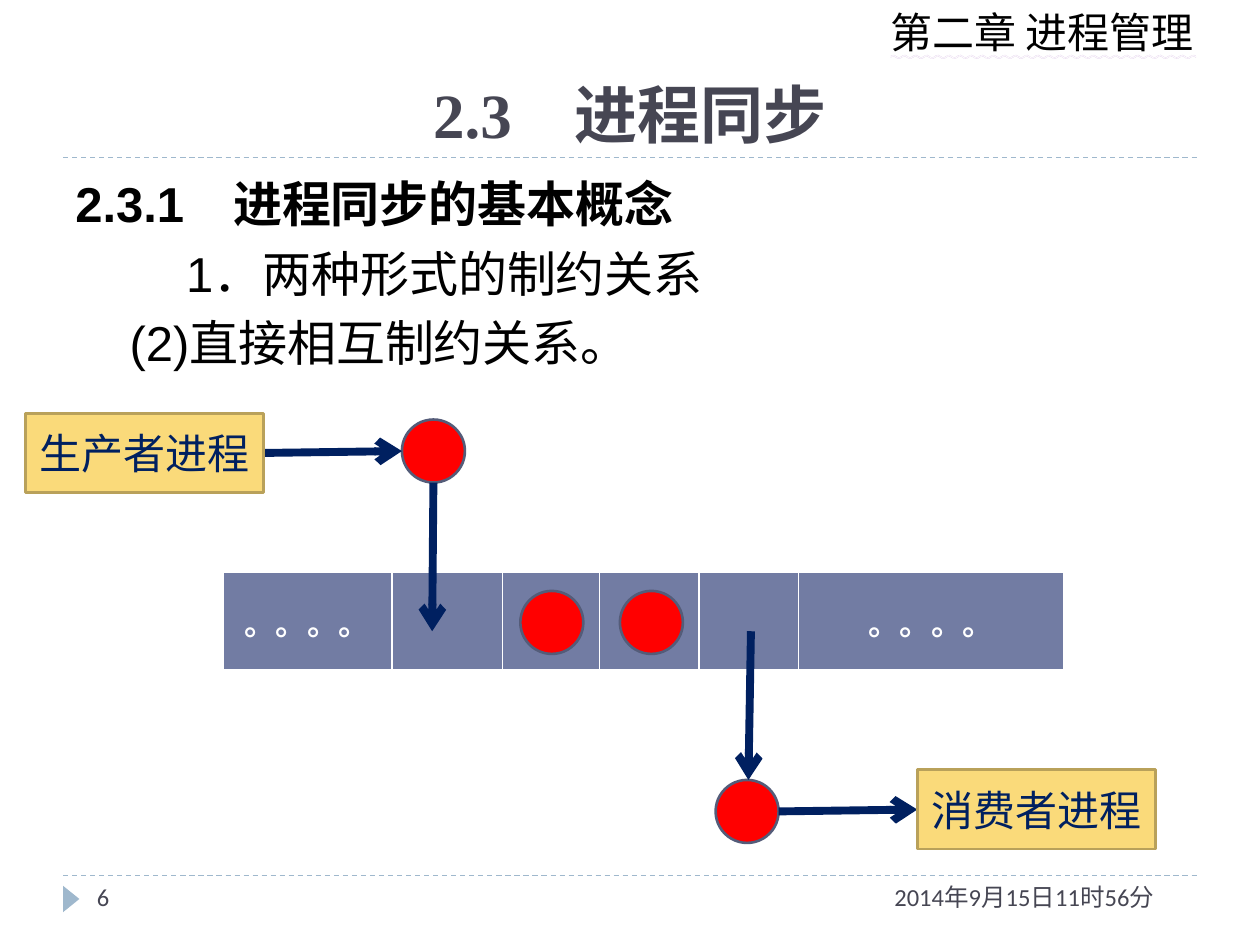
from lxml import etree
from pptx import Presentation
from pptx import util as u
from pptx.dml.color import RGBColor
from pptx.enum import dml, shapes, text
from pptx.oxml import parse_xml
from pptx.oxml.ns import nsdecls, qn

Inches = u.Inches
Shape = shapes.MSO_SHAPE
Align = text.PP_ALIGN
Anchor = text.MSO_ANCHOR


def color(value):
    return RGBColor.from_string(value)


def write(paragraph, words, size=18, font="Calibri", fill="000000", bold=False,
          align=None):
    run = paragraph.add_run()
    run.text = words
    run.font.size = u.Pt(size)
    run.font.name = font
    run.font.bold = bold
    run.font.color.rgb = color(fill)
    if align is not None:
        paragraph.alignment = align
    return run


class SlideBuilder:
    ink = "464653"
    navy = "002060"
    rule_color = "9FB8CD"
    cell_fill = "727CA3"
    item_size = 0.5

    def __init__(self, slide):
        self.slide = slide

    def title(self, box, parts):
        title = self.slide.shapes.title
        title.left, title.top, title.width, title.height = map(Inches, box)
        frame = title.text_frame
        frame.vertical_anchor = Anchor.BOTTOM
        for words, font in parts:
            write(frame.paragraphs[0], words, 36, font, self.ink, True, Align.CENTER)

    def textbox(self, box, wrap=True):
        frame = self.slide.shapes.add_textbox(*map(Inches, box)).text_frame
        frame.word_wrap = wrap
        return frame

    def label(self, box, words, wrap=True, **style):
        frame = self.textbox(box, wrap)
        return write(frame.paragraphs[0], words, **style)

    def outline(self, box, lines):
        frame = self.textbox(box)
        for index, (words, first_line, bold) in enumerate(lines):
            paragraph = frame.paragraphs[0] if index == 0 else frame.add_paragraph()
            paragraph.space_before = u.Pt(6)
            properties = paragraph._p.get_or_add_pPr()
            properties.set("marL", str(Inches(0.3)))
            properties.set("indent", str(Inches(first_line - 0.3)))
            write(paragraph, words, 28, "Arial", bold=bold)

    def preset(self, kind, box, fill, border=None):
        shape = self.slide.shapes.add_shape(kind, *map(Inches, box))
        shape.shadow.inherit = False
        shape.fill.solid()
        shape.fill.fore_color.rgb = color(fill)
        if border:
            shape.line.color.rgb = color(border)
            shape.line.width = u.Pt(1.5)
        else:
            shape.line.fill.background()
        return shape

    def item(self, left, top):
        box = (left, top, self.item_size, self.item_size)
        return self.preset(Shape.FLOWCHART_CONNECTOR, box, "FF0000", "545C79")

    def process(self, left, top, words):
        box = self.preset(Shape.RECTANGLE, (left, top, 1.89, 0.63), "FADA7A", "B9A15A")
        frame = box.text_frame
        frame.vertical_anchor = Anchor.MIDDLE
        write(frame.paragraphs[0], words, 24, fill=self.navy, align=Align.CENTER)
        return box

    def line(self, start, end, stroke, width):
        connector = self.slide.shapes.add_connector(
            shapes.MSO_CONNECTOR.STRAIGHT, *map(Inches, start + end))
        connector.line.color.rgb = color(stroke)
        connector.line.width = u.Pt(width)
        etree.SubElement(connector._element.spPr, qn("a:effectLst"))
        return connector

    def rule(self, y):
        rule = self.line((0.5, y), (9.5, y), self.rule_color, 0.75)
        rule.line.dash_style = dml.MSO_LINE.DASH

    def arrow(self, start, end):
        arrow = self.line(start, end, self.navy, 4.5)
        stroke = arrow.line._get_or_add_ln()
        etree.SubElement(stroke, qn("a:tailEnd"), type="arrow")
        return arrow

    def buffer(self, left, top, height, widths, entries):
        frame = self.slide.shapes.add_table(
            1, len(widths), Inches(left), Inches(top), Inches(sum(widths)), Inches(height))
        for column, width, words in zip(frame.table.columns, widths, entries):
            column.width = Inches(width)
        for cell, words in zip(frame.table.rows[0].cells, entries):
            cell.vertical_anchor = Anchor.MIDDLE
            if words:
                write(cell.text_frame.paragraphs[0], words, fill="FFFFFF",
                      bold=True, align=Align.CENTER)
            properties = cell._tc.get_or_add_tcPr()
            for side, width in (("L", 1), ("R", 1), ("T", 1), ("B", 3)):
                properties.append(parse_xml(
                    f'<a:ln{side} {nsdecls("a")} w="{u.Pt(width)}"><a:solidFill>'
                    f'<a:srgbClr val="FFFFFF"/></a:solidFill></a:ln{side}>'))
            cell.fill.solid()
            cell.fill.fore_color.rgb = color(self.cell_fill)


def underline_wavy(run, stroke):
    run.font.underline = text.MSO_UNDERLINE.WAVY_DOUBLE_LINE
    run.font._element.find(qn("a:latin")).addprevious(parse_xml(
        f'<a:uFill {nsdecls("a")}><a:solidFill><a:srgbClr val="{stroke}"/>'
        '</a:solidFill></a:uFill>'))


def main():
    deck = Presentation()
    deck.slide_width, deck.slide_height = Inches(10), Inches(7.5)
    page = SlideBuilder(deck.slides.add_slide(deck.slide_layouts[5]))

    for y in (6.95, 1.25):
        page.rule(y)
    marker = page.preset(Shape.ISOSCELES_TRIANGLE, (0.46, 7.07, 0.21, 0.13), page.rule_color)
    marker.rotation = 90
    chapter = page.label((6.97, 0, 2.66, 0.5), "第二章 进程管理", wrap=False, size=24)
    underline_wavy(chapter, "D2B4E0")

    page.title((0.5, 0.52, 9, 0.73),
               [("2.3　", "Times New Roman"), ("进程同步", "Noto Sans CJK SC")])
    page.label((7, 6.95, 2.5, 0.4), "2014年9月15日11时56分", size=14, fill=page.ink)
    page.label((0.67, 6.95, 2.17, 0.4), "6", size=14, fill=page.ink)
    page.outline((0.5, 1.33, 9, 5.4), [
        ("2.3.1　进程同步的基本概念", 0, True),
        ("1．两种形式的制约关系", 0.88, False),
        ("(2)直接相互制约关系。", 0.43, False),
    ])

    page.buffer(1.77, 4.54, 0.79, [1.34, 0.88, 0.77, 0.79, 0.79, 2.1],
                ["。。。。", "", "", "", "", "。。。。"])
    for left, top in ((4.13, 4.69), (4.92, 4.69), (5.68, 6.19), (3.19, 3.33)):
        page.item(left, top)

    page.arrow((3.44, 3.83), (3.43, 5.01))
    page.arrow((5.96, 5.01), (5.94, 6.19))
    produce = page.arrow((2.09, 3.59), (3.19, 3.58))
    consume = page.arrow((6.18, 6.44), (7.28, 6.43))
    producer = page.process(0.2, 3.28, "生产者进程")
    consumer = page.process(7.28, 6.11, "消费者进程")
    produce.begin_connect(producer, 3)
    consume.end_connect(consumer, 1)

    deck.save("out.pptx")


if __name__ == "__main__":
    main()
